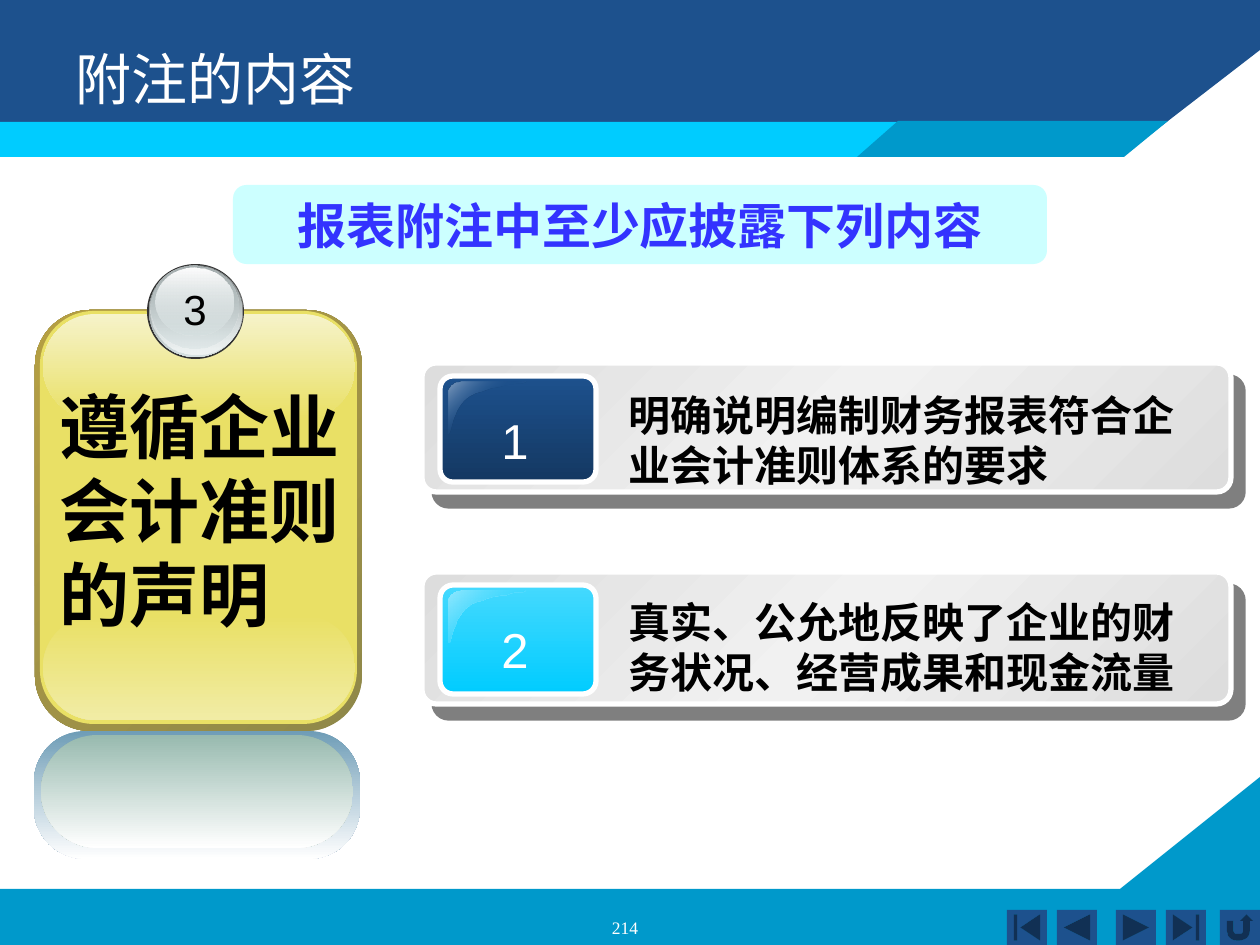
from lxml.etree import SubElement
from pptx import Presentation
from pptx.dml.color import RGBColor
from pptx.enum.shapes import MSO_SHAPE
from pptx.enum.text import MSO_ANCHOR, PP_ALIGN
from pptx.oxml.ns import qn
from pptx.util import Emu, Pt

SCALE = 914400 / 126
ROUND, OVAL, RECT = MSO_SHAPE.ROUNDED_RECTANGLE, MSO_SHAPE.OVAL, MSO_SHAPE.RECTANGLE

FOOTER = [(0, 889), (1120, 889), (1260, 777), (1260, 945), (0, 945)]
HEADER = [(0, 0), (1260, 0), (1260, 50), (1124, 155), (0, 156)]
STRIPE = (0, 122, 1064, 35)
WEDGE = [(857, 157), (1124, 157), (1168, 121), (898, 121)]
BUTTONS = [
    (1057, MSO_SHAPE.ACTION_BUTTON_BACK_OR_PREVIOUS),
    (1007, MSO_SHAPE.ACTION_BUTTON_BEGINNING),
    (1116, MSO_SHAPE.ACTION_BUTTON_FORWARD_OR_NEXT),
    (1166, MSO_SHAPE.ACTION_BUTTON_END),
    (1220, MSO_SHAPE.ACTION_BUTTON_RETURN),
]
CARDS = [
    dict(num="1", text="明确说明编制财务报表符合企业会计准则体系的要求",
         top=363, height=129, text_top=383,
         tile=[(0, "1D518D"), (100, "143862")],
         gloss=[(0, "839FC0"), (50, "1D518D", 0), (100, "839FC0")]),
    dict(num="2", text="真实、公允地反映了企业的财务状况、经营成果和现金流量",
         top=572, height=132, text_top=590,
         tile=[(0, "45D9FE"), (100, "00CCFF")],
         gloss=[(0, "00CCFF", 0), (100, "92E8FE")]),
]
GREY = [(0, "DDDDDD"), (50, "F1F1F1"), (100, "DDDDDD")]
GLOSS_START = (464, 19)
GLOSS_CURVES = [
    [(464, 19), (456, 19), (449, 24), (449, 29)],
    [(449, 71), (453, 72), (452, 47), (470, 34)],
    [(470, 34), (489, 23), (527, 22), (526, 19)],
]
PANEL = [
    (ROUND, (35, 310, 327, 421), 0.17, [(0, "8F8849"), (100, "B59F43")], 225),
    (ROUND, (40, 311, 317, 413), 0.17, "E9E065", 90),
    (ROUND, (43, 615, 312, 105), 0.5, [(0, "E9E065"), (100, "F1ECA5")], 90),
    (ROUND, (43, 314, 312, 105), 0.5, [(0, "F6F3CA"), (100, "E9E065")], 90),
    (OVAL, (147, 264, 97, 95), None, "333333", 90),
    (OVAL, (149, 265, 93, 92), None, [(0, "626768"), (100, "D6E1E2")], 90),
    (OVAL, (150, 266, 92, 89), None, [(0, "D6E1E2", 0), (100, "EFF3F3")], 90),
    (OVAL, (151, 266, 87, 83), None, [(0, "A8B1B2"), (100, "D6E1E2", 48)], 90),
    (OVAL, (156, 268, 77, 68), None, [(0, "FEFEFE"), (100, "D6E1E2", 38)], 90),
    (ROUND, (34, 731, 326, 128), 0.4, [(0, "6F9DB7"), (100, "FFFFFF")], 90),
    (ROUND, (41, 735, 312, 113), 0.5, [(0, "98BAAF"), (100, "FFFFFF")], 90),
]


def px(n):
    return Emu(round(n * SCALE))


def rgb(value):
    return RGBColor.from_string(value)


def style(sp, fill, ang=90, line=None):
    sp.shadow.inherit = False
    if isinstance(fill, str):
        sp.fill.solid()
        sp.fill.fore_color.rgb = rgb(fill)
    else:
        sp.fill.gradient()
        sp.fill.gradient_angle = 360 - ang
        stops = sp._element.spPr.find(qn("a:gradFill")).find(qn("a:gsLst"))
        stops.clear()
        for pos, color, *alpha in fill:
            gs = SubElement(stops, qn("a:gs"), pos=str(pos * 1000))
            clr = SubElement(gs, qn("a:srgbClr"), val=color)
            if alpha:
                SubElement(clr, qn("a:alpha"), val=str(alpha[0] * 1000))
    if line:
        sp.line.color.rgb = rgb(line)
        sp.line.width = Pt(3)
    else:
        sp.line.fill.background()
    return sp


def shape(s, kind, box, fill, adj=None, **fmt):
    sp = s.shapes.add_shape(kind, *map(px, box))
    if adj is not None:
        sp.adjustments[0] = adj
    return style(sp, fill, **fmt)


def outline(s, points, fill, **fmt):
    fb = s.shapes.build_freeform(*points[0], scale=SCALE)
    fb.add_line_segments(points[1:], close=True)
    return style(fb.convert_to_shape(), fill, **fmt)


def curve(points, steps=10):
    p0, p1, p2, p3 = points
    for i in range(steps + 1):
        t = i / steps
        u = 1 - t
        yield tuple(u**3 * a + 3 * u * u * t * b + 3 * u * t * t * c + t**3 * d
                    for a, b, c, d in zip(p0, p1, p2, p3))


def add_shadow(sp):
    effects = sp._element.spPr.find(qn("a:effectLst"))
    shadow = SubElement(effects, qn("a:outerShdw"), dist=str(Pt(10.6)),
                        dir=str(49 * 60000), algn="ctr", rotWithShape="0")
    clr = SubElement(shadow, qn("a:srgbClr"), val="000000")
    SubElement(clr, qn("a:alpha"), val="50000")


def write(sp, text, size, color, font="Arial", bold=False, center=False,
          wrap=True, anchor=MSO_ANCHOR.TOP, spacing=None):
    tf = sp.text_frame
    tf.word_wrap = wrap
    tf.vertical_anchor = anchor
    p = tf.paragraphs[0]
    p.alignment = PP_ALIGN.CENTER if center else PP_ALIGN.LEFT
    if spacing:
        p.line_spacing = Pt(spacing)
    r = p.add_run()
    r.text = text
    r.font.size = Pt(size)
    r.font.bold = bold
    r.font.color.rgb = rgb(color)
    r.font.name = font
    SubElement(r._r.get_or_add_rPr(), qn("a:ea"), typeface=font)


def label(s, box, text, size, color, **fmt):
    write(s.shapes.add_textbox(*map(px, box)), text, size, color, **fmt)


def add_card(s, card):
    top, height = card["top"], card["height"]
    add_shadow(shape(s, ROUND, (422, top, 809, height), GREY, 0.11, ang=225, line="FFFFFF"))
    shape(s, ROUND, (440, top + 13, 156, height - 23), card["tile"], 0.12, line="FFFFFF")
    points = [GLOSS_START] + [pt for c in GLOSS_CURVES for pt in curve(c)]
    outline(s, [(x, y + top) for x, y in points], card["gloss"], ang=225)
    label(s, (489, top + 41, 52, 72), card["num"], 28, "FFFFFF", center=True, wrap=False)
    label(s, (616, card["text_top"], 595, 113), card["text"], 24, "000000",
          bold=True, spacing=28.8)


def main():
    """Build the slide and save it."""
    prs = Presentation()
    prs.slide_width, prs.slide_height = px(1260), px(945)
    s = prs.slides.add_slide(prs.slide_layouts[6])

    outline(s, FOOTER, "0099CB")
    outline(s, HEADER, "1D518D")
    shape(s, RECT, STRIPE, "00CCFF")
    outline(s, WEDGE, "0099CB")
    for left, kind in BUTTONS:
        shape(s, kind, (left, 910, 40, 35), "1D518D")

    for card in CARDS:
        add_card(s, card)

    label(s, (63, 38, 1134, 157), "附注的内容", 32, "FFFFFF", font="Noto Sans CJK SC")
    banner = shape(s, ROUND, (233, 185, 814, 79), "CCFFFF", 0.17)
    write(banner, "报表附注中至少应披露下列内容", 28, "3333FF", bold=True,
          center=True, wrap=False, anchor=MSO_ANCHOR.MIDDLE)

    for kind, box, adj, fill, ang in PANEL:
        shape(s, kind, box, fill, adj, ang=ang)
    label(s, (171, 277, 48, 63), "3", 24, "000000", center=True, wrap=False)
    label(s, (47, 377, 310, 265), "遵循企业会计准则的声明", 40, "000000",
          font="DejaVu Sans", bold=True, spacing=48)
    label(s, (478, 911, 294, 23), "214", 10, "FFFFFF", font="Times New Roman", center=True)

    prs.save("out.pptx")


if __name__ == "__main__":
    main()
